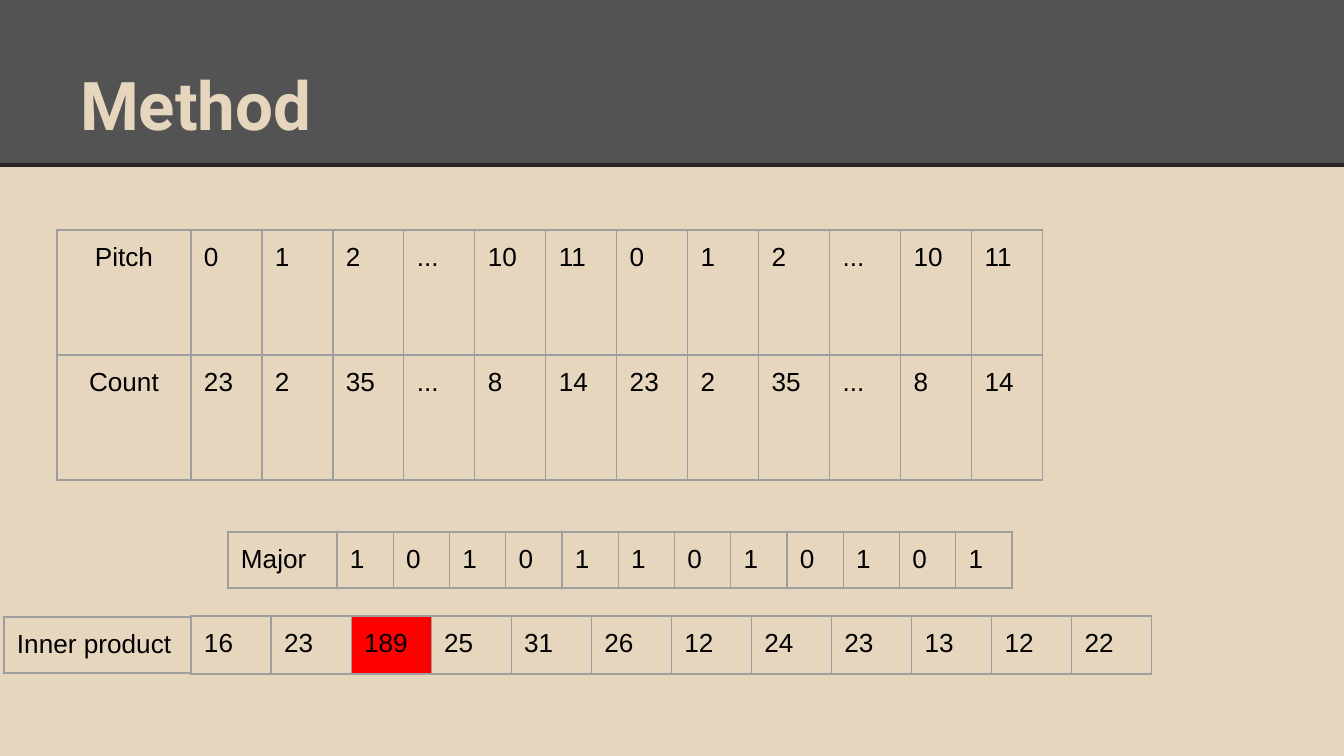
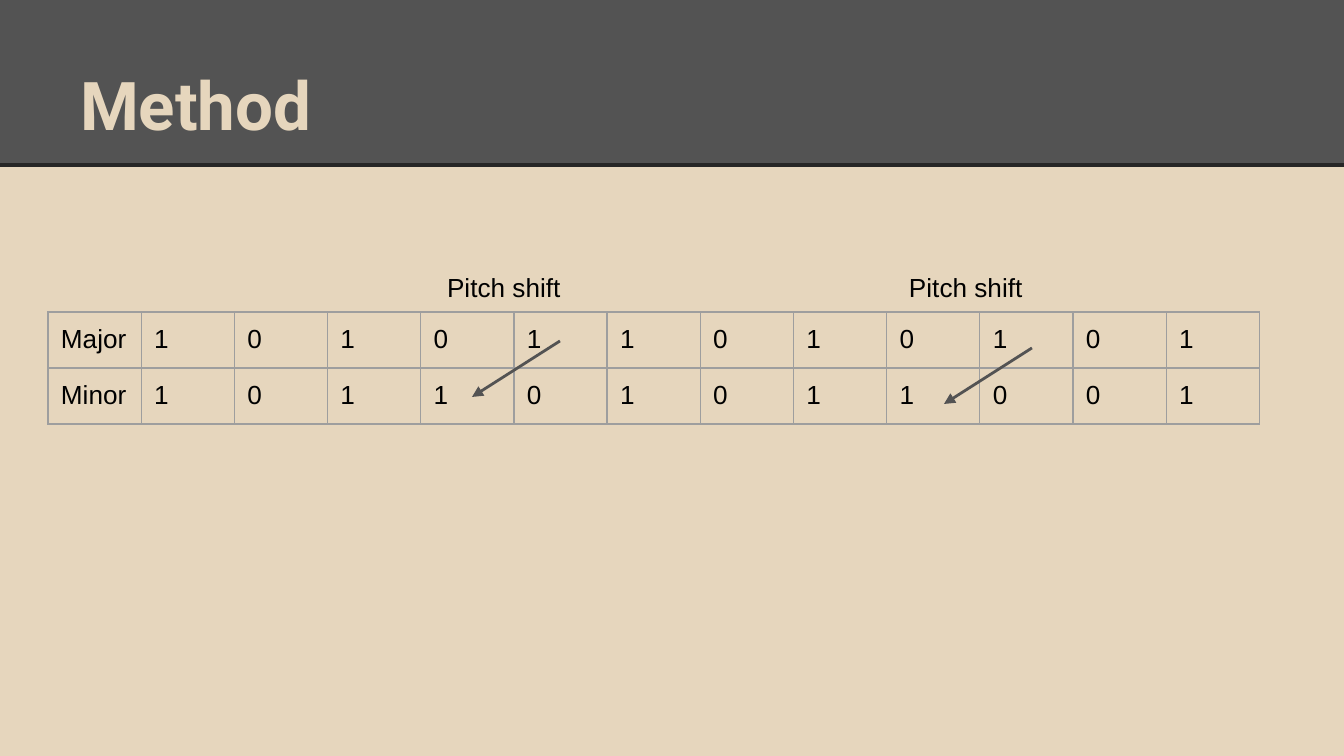
from lxml import etree
from pptx import Presentation
from pptx.dml.color import RGBColor
from pptx.enum.shapes import MSO_CONNECTOR, MSO_SHAPE
from pptx.enum.text import MSO_ANCHOR, MSO_AUTO_SIZE, PP_ALIGN
from pptx.oxml.ns import qn
from pptx.util import Pt

LEFT, CENTER = PP_ALIGN.LEFT, PP_ALIGN.CENTER
TOP, BOTTOM = MSO_ANCHOR.TOP, MSO_ANCHOR.BOTTOM
NO_FIT = MSO_AUTO_SIZE.NONE
RECT, STRAIGHT = MSO_SHAPE.RECTANGLE, MSO_CONNECTOR.STRAIGHT

SCALE = 914400 / 134.4  # EMU in one px
WIDE, HIGH = 1344, 756
BAND = 165
INSET = 13

SAND, GREY, DARK = "E6D6BD", "535353", "262626"
EDGE, BLACK, RED = "9E9E9E", "000000", "FF0000"


def px(n):
    return round(n * SCALE)


def color(code):
    return RGBColor.from_string(code)


class Deck:
    head_font, head_size = "Roboto", 36
    body_font, body_size = "Arial", 14

    def __init__(self):
        self.prs = Presentation()
        self.prs.slide_width, self.prs.slide_height = px(WIDE), px(HIGH)
        self.layout = self.prs.slide_layouts[5]
        self.slide = None
        back = self.prs.slide_master.background.fill
        back.solid()
        back.fore_color.rgb = color(SAND)

    def page(self, title):
        first = self.slide is None
        self.slide = self.prs.slides.add_slide(self.layout)
        if first:
            self.band()
        head = self.slide.shapes.title
        head.left, head.top = px(67), px(31)
        head.width, head.height = px(1210), px(126)
        self.fill_text(head.text_frame, title, BOTTOM)
        para = head.text_frame.paragraphs[0]
        self.style(para, self.head_font, self.head_size, SAND, True)

    def band(self):
        """Draw the header once and move it to the shared layout."""
        bar = self.slide.shapes.add_shape(RECT, 0, 0, px(WIDE), px(BAND))
        bar.shadow.inherit = False
        bar.fill.solid()
        bar.fill.fore_color.rgb = color(GREY)
        bar.line.fill.background()
        rule = self.line((0, BAND), (WIDE, BAND), DARK, 2.25)
        tree = self.layout.shapes.element
        for spot, part in enumerate((bar, rule), 2):
            tree.insert(spot, part.element)

    def style(self, para, font, size, code, bold=False, align=LEFT):
        para.alignment = align
        para.font.name, para.font.size = font, Pt(size)
        para.font.bold = bold
        para.font.color.rgb = color(code)

    def fill_text(self, frame, words, anchor):
        frame.text = words
        frame.word_wrap = True
        frame.auto_size = NO_FIT
        frame.vertical_anchor = anchor
        frame.margin_left = frame.margin_right = px(INSET)
        frame.margin_top = frame.margin_bottom = px(INSET)

    def text(self, x, y, w, h, words):
        box = self.slide.shapes.add_textbox(px(x), px(y), px(w), px(h))
        self.fill_text(box.text_frame, words, TOP)
        para = box.text_frame.paragraphs[0]
        self.style(para, self.body_font, self.body_size, BLACK)

    def line(self, start, end, code, width, arrow=False):
        ends = [px(n) for n in (*start, *end)]
        link = self.slide.shapes.add_connector(STRAIGHT, *ends)
        link.line.color.rgb = color(code)
        link.line.width = Pt(width)
        props = link.element.spPr
        if arrow:
            tip = etree.SubElement(props.find(qn("a:ln")), qn("a:tailEnd"))
            tip.set("type", "triangle")
        etree.SubElement(props, qn("a:effectLst"))
        return link

    def table(self, x, y, w, row_h, rows, align=LEFT, marks=()):
        count = len(rows[0])
        frame = self.slide.shapes.add_table(
            len(rows), count, px(x), px(y), px(w), px(row_h * len(rows)))
        grid = frame.table
        grid.first_row = grid.horz_banding = False
        for col in grid.columns:
            col.width = px(w / count)
        for r, row in enumerate(rows):
            grid.rows[r].height = px(row_h)
            for c, words in enumerate(row):
                cell = grid.cell(r, c)
                self.cell(cell, words, align, RED if (r, c) in marks else None)
        for tc in frame.element.iter(qn("a:tc")):
            self.edges(tc.get_or_add_tcPr())

    def cell(self, cell, words, align, fill):
        cell.text = words
        cell.margin_left = cell.margin_right = px(INSET)
        cell.margin_top = cell.margin_bottom = px(INSET)
        para = cell.text_frame.paragraphs[0]
        self.style(para, self.body_font, self.body_size, BLACK, align=align)
        if fill:
            cell.fill.solid()
            cell.fill.fore_color.rgb = color(fill)
        else:
            cell.fill.background()

    def edges(self, props):
        for spot, side in enumerate(("lnL", "lnR", "lnT", "lnB")):
            edge = etree.Element(qn("a:" + side), w=str(Pt(0.75)))
            fill = etree.SubElement(edge, qn("a:solidFill"))
            etree.SubElement(fill, qn("a:srgbClr"), val=EDGE)
            props.insert(spot, edge)


def main():
    deck = Deck()
    major = "1 0 1 0 1 1 0 1 0 1 0 1".split()
    minor = "1 0 1 1 0 1 0 1 1 0 0 1".split()
    pitch = "0 1 2 ... 10 11".split() * 2
    count = "23 2 35 ... 8 14".split() * 2
    inner = "16 23 189 25 31 26 12 24 23 13 12 22".split()

    # Inner product: values, then their labels
    deck.page("Method")
    deck.table(191, 230, 852, 125, [pitch, count])
    deck.table(337, 532, 675, 56, [major])
    deck.table(191, 616, 961, 58, [inner], marks={(0, 2)})
    deck.table(57, 230, 134, 125, [["Pitch"], ["Count"]], CENTER)
    deck.table(228, 532, 109, 56, [["Major"]])
    deck.table(4, 617, 187, 56, [["Inner product"]])

    # Major against minor, with the shifted pitches
    deck.page("Method")
    deck.table(48, 312, 1212, 56, [["Major", *major], ["Minor", *minor]])
    for x, y in ((560, 341), (1032, 348)):
        deck.line((x, y), (x - 88, y + 56), GREY, 1.5, arrow=True)
    for x in (434, 896):
        deck.text(x, 258, 164, 42, "Pitch shift")

    deck.prs.save("out.pptx")


if __name__ == "__main__":
    main()
